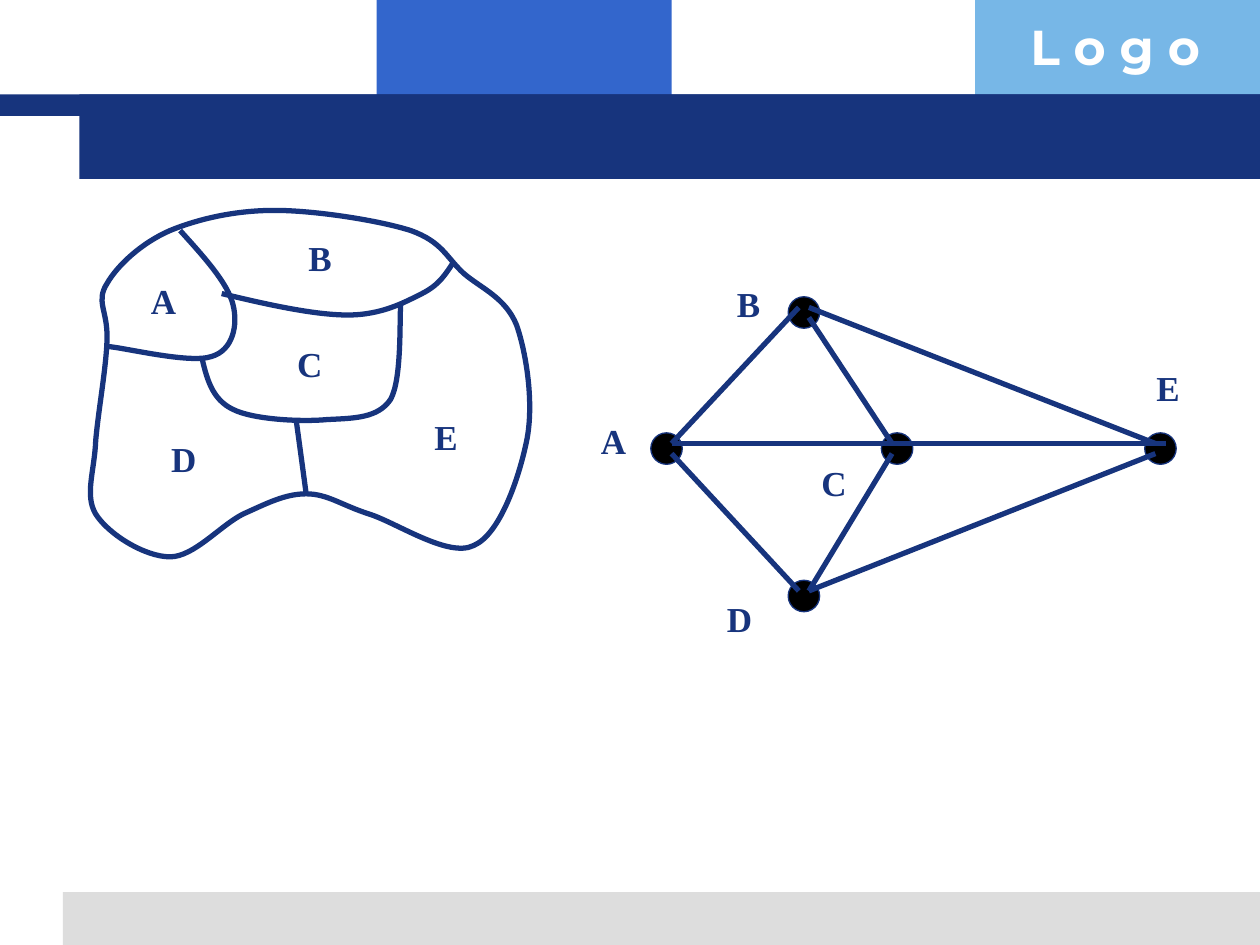
import pptx
import pptx.util
import pptx.dml.color
import pptx.enum.shapes
import pptx.enum.text
from lxml import etree

NAVY, BLUE, SKY, GREY = "17347D", "3366CC", "77B7E7", "DDDDDD"
BLACK, WHITE = "000000", "FFFFFF"
SERIF, SANS = "Times New Roman", "Montserrat"

# Page bands: left, top, width, height, colour
BANDS = [
    (2.99, 0, 2.34, 0.92, BLUE),
    (7.74, 0, 2.26, 0.92, SKY),
    (0.5, 7.08, 9.5, 0.42, GREY),
    (0, 0.75, 10, 0.17, NAVY),
    (0.63, 0.75, 9.37, 0.67, NAVY),
]

# Map borders: a start point, then three points for each Bezier curve
COAST = [
    (0.85, 2.25),
    (0.93, 2.11), (1.12, 1.93), (1.35, 1.83),
    (1.57, 1.74), (1.86, 1.67), (2.18, 1.67),
    (2.5, 1.67), (3.01, 1.75), (3.26, 1.83),
    (3.51, 1.92), (3.54, 2.04), (3.68, 2.17),
    (3.82, 2.29), (4.01, 2.36), (4.1, 2.58),
    (4.18, 2.81), (4.24, 3.21), (4.18, 3.5),
    (4.12, 3.79), (3.97, 4.24), (3.76, 4.33),
    (3.56, 4.43), (3.15, 4.15), (2.93, 4.08),
    (2.71, 4.01), (2.6, 3.92), (2.43, 3.92),
    (2.26, 3.92), (2.11, 4), (1.93, 4.08),
    (1.75, 4.17), (1.54, 4.42), (1.35, 4.42),
    (1.15, 4.42), (0.86, 4.24), (0.76, 4.08),
    (0.67, 3.93), (0.75, 3.74), (0.76, 3.5),
    (0.78, 3.26), (0.85, 2.88), (0.85, 2.67),
    (0.85, 2.46), (0.76, 2.39), (0.85, 2.25),
]
INNER_BORDERS = [
    [(1.43, 1.83), (1.62, 2.04), (1.81, 2.25), (1.85, 2.42),
     (1.89, 2.58), (1.85, 2.78), (1.68, 2.83),
     (1.51, 2.89), (0.99, 2.76), (0.85, 2.75)],
    [(1.6, 2.83), (1.64, 3), (1.68, 3.17), (1.85, 3.25),
     (2.01, 3.33), (2.39, 3.35), (2.6, 3.33),
     (2.81, 3.32), (3, 3.32), (3.1, 3.17),
     (3.19, 3.01), (3.17, 2.54), (3.18, 2.42)],
    [(1.76, 2.33), (2.13, 2.42), (2.5, 2.5), (2.76, 2.5),
     (3.03, 2.5), (3.21, 2.4), (3.35, 2.33),
     (3.49, 2.26), (3.54, 2.17), (3.6, 2.08)],
    [(2.35, 3.33), (2.35, 3.33), (2.39, 3.62), (2.43, 3.92)],
]
REGION_LABELS = [("A", 1.1, 2.17), ("B", 2.35, 1.83), ("C", 2.26, 2.67),
                 ("D", 1.26, 3.42), ("E", 3.35, 3.25)]

# Graph: node centres, and edges whose ends sit beside the centre (x and y sign)
NODE_SIZE, END_OFFSET = 0.25, 0.04
NODES = {"B": (6.38, 2.48), "A": (5.29, 3.56), "C": (7.12, 3.56),
         "D": (6.38, 4.73), "E": (9.21, 3.56)}
EDGES = [
    (("C", -1, -1), ("B", 1, 1)),
    (("E", -1, -1), ("B", 1, -1)),
    (("A", 1, -1), ("B", -1, -1)),
    (("D", -1, -1), ("A", 1, 1)),
    (("E", -1, 1), ("D", 1, -1)),
    (("D", 1, -1), ("C", -1, 1)),
    (("E", 1, -1), ("A", 1, -1)),
]
NODE_LABELS = [("A", 4.67, 3.28), ("C", 6.42, 3.61), ("B", 5.75, 2.19),
               ("E", 9.08, 2.86), ("D", 5.67, 4.69)]

inch = pptx.util.Inches
prs = pptx.Presentation()
prs.slide_width, prs.slide_height = inch(10), inch(7.5)
slide = prs.slides.add_slide(prs.slide_layouts[6])
shapes = slide.shapes


def colour(value):
    return pptx.dml.color.RGBColor.from_string(value)


def set_line(part, width):
    part.line.color.rgb = colour(NAVY)
    part.line.width = pptx.util.Pt(width)


def add_filled(kind, left, top, width, height, fill):
    part = shapes.add_shape(kind, inch(left), inch(top), inch(width), inch(height))
    part.shadow.inherit = False
    part.fill.solid()
    part.fill.fore_color.rgb = colour(fill)
    part.line.fill.background()
    return part


def add_label(text, left, top, width, height, size, font, fill, wrap=False):
    frame = shapes.add_textbox(inch(left), inch(top), inch(width), inch(height)).text_frame
    frame.word_wrap = wrap
    frame.auto_size = pptx.enum.text.MSO_AUTO_SIZE.SHAPE_TO_FIT_TEXT
    frame.text = text
    style = frame.paragraphs[0].runs[0].font
    style.size, style.name, style.bold = pptx.util.Pt(size), font, True
    style.color.rgb = colour(fill)


def add_border(points, close=False):
    start, *rest = [(inch(x), inch(y)) for x, y in points]
    builder = shapes.build_freeform(*start)
    builder.add_line_segments(rest, close=close)
    border = builder.convert_to_shape()
    border.shadow.inherit = False
    border.fill.background()
    set_line(border, 3)
    # Merge each three straight segments into one Bezier curve
    segments = list(border._element.iter(pptx.oxml.ns.qn("a:lnTo")))
    for i in range(0, len(segments), 3):
        curve = etree.Element(pptx.oxml.ns.qn("a:cubicBezTo"))
        segments[i].addprevious(curve)
        for segment in segments[i:i + 3]:
            curve.append(segment[0])
            segment.getparent().remove(segment)


def edge_end(node, x_sign, y_sign):
    x, y = NODES[node]
    return inch(x + x_sign * END_OFFSET), inch(y + y_sign * END_OFFSET)


# Page bands and header text
for band in BANDS:
    add_filled(pptx.enum.shapes.MSO_SHAPE.RECTANGLE, *band)
add_label("L o g o", 8.08, 0.08, 1.93, 0.57, 28, SANS, WHITE, wrap=True)

# Map
add_border(COAST, close=True)
for border_points in INNER_BORDERS:
    add_border(border_points)
for name, left, top in REGION_LABELS:
    add_label(name, left, top, 0.4, 0.43, 20, SERIF, NAVY)

# Graph
for x, y in NODES.values():
    node_dot = add_filled(pptx.enum.shapes.MSO_SHAPE.OVAL, x - NODE_SIZE / 2,
                          y - NODE_SIZE / 2, NODE_SIZE, NODE_SIZE, BLACK)
    set_line(node_dot, 0.75)
for begin, end in EDGES:
    edge = shapes.add_connector(pptx.enum.shapes.MSO_CONNECTOR.STRAIGHT,
                                *edge_end(*begin), *edge_end(*end))
    set_line(edge, 3)
    etree.SubElement(edge._element.spPr, pptx.oxml.ns.qn("a:effectLst"))
for name, left, top in NODE_LABELS:
    add_label(name, left, top, 0.4, 0.43, 20, SERIF, NAVY)

prs.save("out.pptx")
